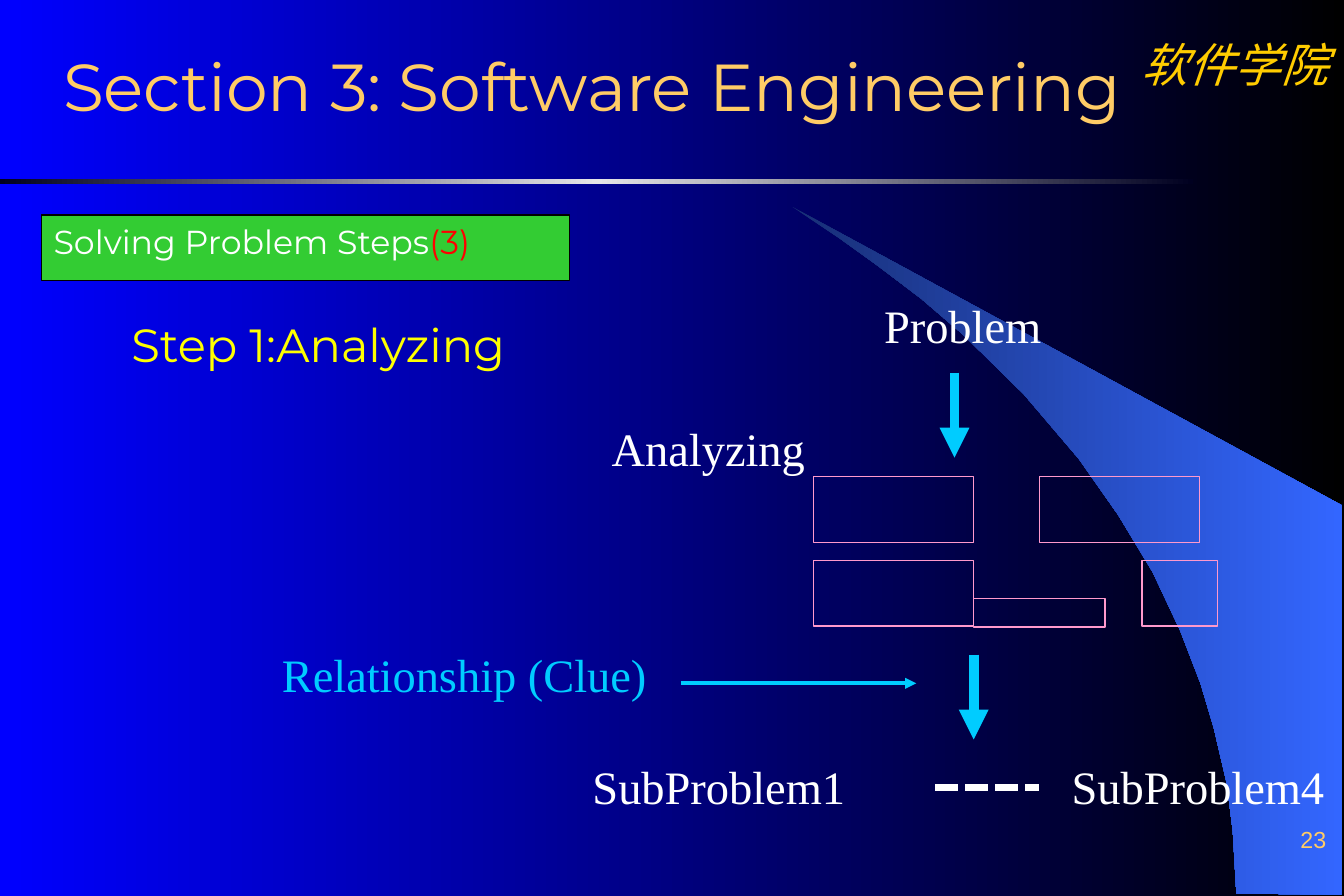
from copy import deepcopy

from lxml import etree
from pptx import Presentation
from pptx import util as u
from pptx.dml.color import RGBColor
from pptx.enum import dml, shapes, text
from pptx.oxml.ns import qn

CELL = u.Inches(0.25)  # the slide is a grid of 45 columns by 30 rows

WHITE, CYAN, PINK, GOLD = "FFFFFF", "00CCFF", "FF99CC", "FFCC66"
SERIF, SANS = "Times New Roman", "Montserrat"


def colour(value):
    return RGBColor.from_string(value)


def grid(*cells):
    return [u.Emu(round(cell * CELL)) for cell in cells]


class Board:
    """Draws styled elements on one slide, placed in grid cells."""

    def __init__(self, slide):
        self.slide = slide
        self.shapes = slide.shapes

    def gradient(self, fill, element, *stops):
        fill.gradient()
        fill.gradient_angle = 0
        if len(stops) == 3:
            first = element.xpath(".//a:gs")[0]
            middle = deepcopy(first)
            middle.set("pos", "50000")
            first.addnext(middle)
        for stop, value in zip(fill.gradient_stops, stops):
            stop.color.rgb = colour(value)

    def set_text(self, shape, runs, size, font, align=text.PP_ALIGN.LEFT,
                 anchor=text.MSO_ANCHOR.TOP, margins=(0.1, 0.05), spacing=None):
        frame = shape.text_frame
        frame.word_wrap = True
        frame.vertical_anchor = anchor
        frame.margin_left = frame.margin_right = u.Inches(margins[0])
        frame.margin_top = frame.margin_bottom = u.Inches(margins[1])
        paragraph = frame.paragraphs[0]
        paragraph.alignment = align
        paragraph.line_spacing = spacing
        for wording, value in runs:
            run = paragraph.add_run()
            run.text = wording
            run.font.size = u.Pt(size)
            run.font.name = font
            run.font.color.rgb = colour(value)
        return paragraph

    def label(self, box, wording, value, size=28, font=SERIF, **layout):
        shape = self.shapes.add_textbox(*grid(*box))
        return self.set_text(shape, [(wording, value)], size, font, **layout)

    def note(self, box, wording, value=WHITE, font=SERIF):
        self.label(box, wording, value, font=font, margins=(0.2, 0.05), spacing=1.4)

    def rectangle(self, box, fill=None, line=None):
        shape = self.shapes.add_shape(shapes.MSO_SHAPE.RECTANGLE, *grid(*box))
        shape.shadow.inherit = False
        if fill:
            shape.fill.solid()
            shape.fill.fore_color.rgb = colour(fill)
        else:
            shape.fill.background()
        if line:
            shape.line.color.rgb = colour(line)
            shape.line.width = u.Pt(0.75)
        else:
            shape.line.fill.background()
        return shape

    def outline(self, points):
        start, *others = [grid(*point) for point in points]
        builder = self.shapes.build_freeform(*start)
        builder.add_line_segments(others, close=True)
        shape = builder.convert_to_shape()
        shape.shadow.inherit = False
        shape.line.fill.background()
        return shape

    def line(self, ends, value, width, arrow=True):
        connector = self.shapes.add_connector(
            shapes.MSO_CONNECTOR.STRAIGHT, *grid(*ends))
        connector.line.color.rgb = colour(value)
        connector.line.width = u.Pt(width)
        properties = connector.element.spPr
        if arrow:
            tail = etree.SubElement(properties.find(qn("a:ln")), qn("a:tailEnd"))
            tail.set("type", "triangle")
        else:
            connector.line.dash_style = dml.MSO_LINE.SQUARE_DOT
        etree.SubElement(properties, qn("a:effectLst"))


def main():
    presentation = Presentation()
    presentation.slide_width, presentation.slide_height = grid(45, 30)
    slide = presentation.slides.add_slide(presentation.slide_layouts[6])
    board = Board(slide)

    # Background, sweeping arc and divider
    board.gradient(slide.background.fill, slide.element, "0000FF", "000000")
    arc = board.outline([
        (41.4, 29.92), (44.92, 29.96), (44.92, 16.92), (26.52, 6.92),
        (28.08, 7.96), (29.36, 8.88), (30.84, 10), (32.24, 11.2),
        (34.28, 13.2), (36.12, 15.36), (37.44, 17.24), (38.6, 19.16),
        (39.52, 21.12), (40.2, 22.88), (40.64, 24.36), (41.08, 26.24),
        (41.28, 27.84)])
    board.gradient(arc.fill, arc.element, "182F76", "3366FF")
    divider = board.rectangle((0, 6, 39.96, 0.16))
    board.gradient(divider.fill, divider.element, "000020", "E5E5E8", "000020")

    # College name, title and slide number
    college = board.label((37.68, 1, 7.32, 2.28), "软件学院", "FFCC00",
                          align=text.PP_ALIGN.CENTER)
    college.runs[0].font.italic = True
    board.label((1.72, 1.76, 41.28, 2.2), "Section 3: Software Engineering", GOLD,
                size=40, font=SANS, anchor=text.MSO_ANCHOR.MIDDLE)
    board.label((35.44, 26.88, 9.36, 1.68), "23", GOLD, size=14, font="Arial",
                align=text.PP_ALIGN.RIGHT, anchor=text.MSO_ANCHOR.BOTTOM,
                margins=(0.1, 0))

    # Topic banner and step heading
    banner = board.rectangle((1.4, 7.2, 17.68, 2.2), "33CC33", "000000")
    board.set_text(banner, [("Solving Problem Steps", WHITE), ("(3)", "FF0000")],
                   20, SANS)
    board.note((3.6, 9.64, 16.4, 2.84), "Step 1:Analyzing", "FFFF00", SANS)

    # Labels of the analysis diagram
    board.note((28.8, 9, 8.52, 2.84), "Problem")
    board.note((19.68, 13.12, 9.16, 3.76), "Analyzing")
    board.note((8.64, 20.68, 14.48, 2.84), "Relationship (Clue)", CYAN)
    board.note((19.04, 24.44, 11.04, 3.16), "SubProblem1")
    board.note((35.08, 24.44, 11.8, 3.76), "SubProblem4")

    # Pieces of the problem
    upper, lower, height = 15.96, 18.76, 2.2
    for piece in [(27.24, upper, 5.36, height), (34.8, upper, 5.36, height),
                  (27.24, lower, 5.36, height), (38.24, lower, 2.52, height),
                  (32.6, 20.04, 4.4, 0.96)]:
        board.rectangle(piece, line=PINK)

    # Arrows and the dotted link
    board.line((31.96, 12.48, 31.96, 15.32), CYAN, 6)
    board.line((32.6, 21.92, 32.6, 24.76), CYAN, 6)
    board.line((22.8, 22.88, 30.68, 22.88), CYAN, 2.25)
    board.line((31.32, 26.36, 34.8, 26.36), WHITE, 4.5, arrow=False)

    presentation.save("out.pptx")


if __name__ == "__main__":
    main()
